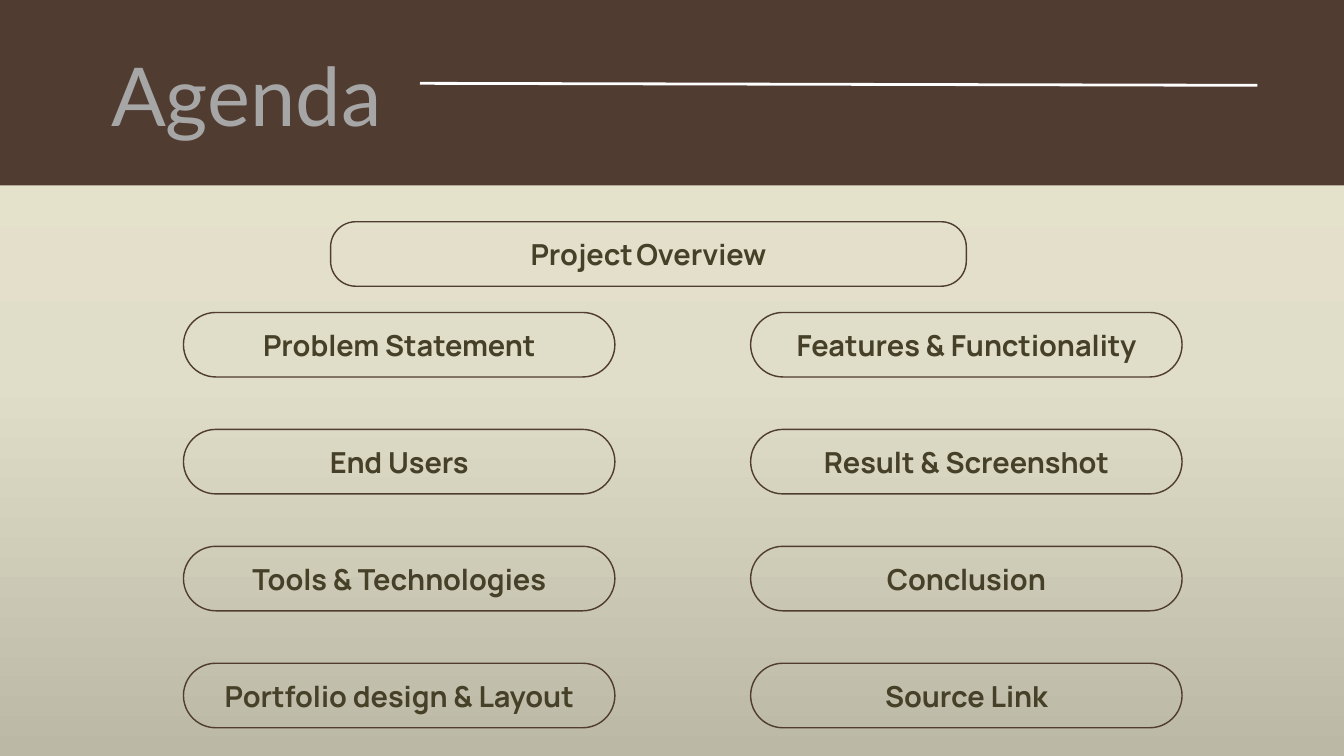
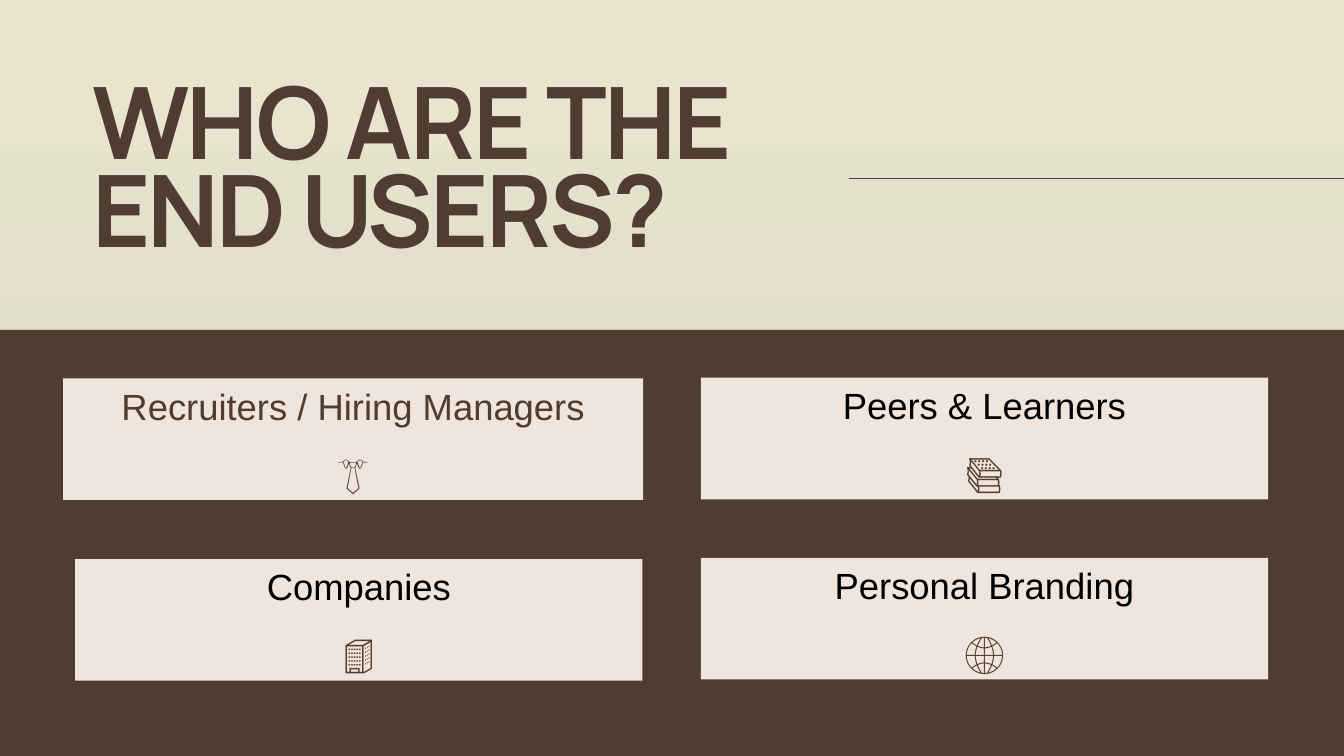
from copy import deepcopy
from dataclasses import dataclass

from lxml.etree import SubElement
from pptx import Presentation
from pptx.dml.color import RGBColor
from pptx.enum.shapes import MSO_CONNECTOR, MSO_SHAPE
from pptx.enum.text import MSO_ANCHOR, MSO_AUTO_SIZE, PP_ALIGN
from pptx.oxml.ns import qn
from pptx.util import Inches, Pt


@dataclass(frozen=True)
class Theme:
    """Colours, fonts and type sizes of the deck."""
    brown: str = "503C30"
    olive: str = "454027"
    cream: str = "EFE5DD"
    grey: str = "A6A6A6"
    white: str = "FFFFFF"
    black: str = "000000"
    fade: tuple = ("EAE6CF", "E0DDC9", "BBB8A5")
    head: str = "Manrope"
    light: str = "Lato"
    plain: str = "Arial"
    agenda: float = 87
    question: float = 107
    pill: float = 31
    space: float = 18
    card: float = 39
    icon: float = 40
    thin: float = 1.5
    thick: float = 3


THEME = Theme()
WIDTH, HEIGHT = 20, 11.25


def rgb(code):
    """Turn a hex code into a colour."""
    return RGBColor.from_string(code)


def backdrop(master):
    """Give the master the vertical three-colour fade."""
    fill = master.background.fill
    fill.gradient()
    fill.gradient_angle = 270
    stops = master.element.find(".//" + qn("a:gsLst"))
    stops.insert(1, deepcopy(stops[0]))
    for step, (stop, code) in enumerate(zip(fill.gradient_stops, THEME.fade)):
        stop.position = step / 2
        stop.color.rgb = rgb(code)


def write(para, text, size, font, color, bold=False):
    """Add one styled run to a paragraph."""
    run = para.add_run()
    run.text = text
    run.font.size = Pt(size)
    run.font.name = font
    run.font.bold = bold
    run.font.color.rgb = rgb(color)
    return run


def block(slide, box, kind=MSO_SHAPE.RECTANGLE, fill=None, line=None):
    """Draw a flat shape in the box, filled or outlined."""
    shape = slide.shapes.add_shape(kind, *map(Inches, box))
    shape.shadow.inherit = False
    if fill:
        shape.fill.solid()
        shape.fill.fore_color.rgb = rgb(fill)
    else:
        shape.fill.background()
    if line:
        shape.line.color.rgb = rgb(line)
        shape.line.width = Pt(THEME.thin)
    else:
        shape.line.fill.background()
    shape.text_frame.word_wrap = True
    shape.text_frame.vertical_anchor = MSO_ANCHOR.MIDDLE
    return shape


def rule(slide, start, end, color, width):
    """Draw a straight line between two points."""
    line = slide.shapes.add_connector(
        MSO_CONNECTOR.STRAIGHT, *map(Inches, start + end))
    line.line.color.rgb = rgb(color)
    line.line.width = Pt(width)
    SubElement(line.element.spPr, qn("a:effectLst"))


def heading(slide, box, text, size, font, color, pitch, align, bold=False):
    """Place the title in front, in the box, and return its run."""
    title = slide.shapes.title
    title.element.getparent().append(title.element)
    title.left, title.top, title.width, title.height = map(Inches, box)
    frame = title.text_frame
    frame.word_wrap = True
    frame.auto_size = MSO_AUTO_SIZE.NONE
    frame.vertical_anchor = MSO_ANCHOR.TOP
    frame.margin_left = frame.margin_right = 0
    frame.margin_top = frame.margin_bottom = 0
    para = frame.paragraphs[0]
    para.alignment = align
    para.line_spacing = Pt(pitch)
    return write(para, text, size, font, color, bold)


def pill(slide, box, words, bend=0.5):
    """Draw an outlined pill with its words, split by small spaces."""
    shape = block(slide, box, MSO_SHAPE.ROUNDED_RECTANGLE, line=THEME.brown)
    shape.adjustments[0] = bend
    para = shape.text_frame.paragraphs[0]
    para.alignment = PP_ALIGN.CENTER
    for spot, word in enumerate(words):
        if spot:
            write(para, " ", THEME.space, THEME.head, THEME.black)
        write(para, word, THEME.pill, THEME.head, THEME.olive, True)


def topics(slide, box, columns):
    """Lay the topic columns out as a grid of pills in the box."""
    left, top, width, height = box
    wide, high = 6.42, 0.96
    across = (width - wide) / (len(columns) - 1)
    for col, names in enumerate(columns):
        down = (height - high) / (len(names) - 1)
        for row, name in enumerate(names):
            spot = (left + col * across, top + row * down, wide, high)
            pill(slide, spot, [name])


def card(slide, box, label, icon, color):
    """Draw a cream card with a label above its icon."""
    frame = block(slide, box, fill=THEME.cream).text_frame
    first, second = frame.paragraphs[0], frame.add_paragraph()
    first.alignment = second.alignment = PP_ALIGN.CENTER
    second.line_spacing = 1.5
    write(first, label, THEME.card, THEME.plain, color)
    write(second, icon, THEME.icon, THEME.plain, THEME.brown)


def agenda(slide):
    """Build the agenda slide."""
    block(slide, (0, 0, WIDTH, 2.76), fill=THEME.brown)
    topics(slide, (2.73, 4.65, 14.86, 6.18), (
        ("Problem Statement", "End Users", "Tools & Technologies",
         "Portfolio design & Layout"),
        ("Features & Functionality", "Result & Screenshot", "Conclusion",
         "Source Link"),
    ))
    pill(slide, (4.92, 3.3, 9.46, 0.96), ("Project", "Overview"), 0.39)
    heading(slide, (1.5, 0.43, 4.33, 1.63), "Agenda", THEME.agenda,
            THEME.light, THEME.grey, 121.8, PP_ALIGN.CENTER)
    rule(slide, (6.25, 1.24), (18.71, 1.27), THEME.white, THEME.thick)


def users(slide):
    """Build the slide on the end users."""
    top = 4.91
    block(slide, (0, top, WIDTH, HEIGHT - top), fill=THEME.brown)
    run = heading(slide, (1.37, 1.36, 11.26, 2.84), "WHO ARE THE END USERS?",
                  THEME.question, THEME.head, THEME.brown, 94.2,
                  PP_ALIGN.LEFT, True)
    run.font.element.set("spc", "-290") if hasattr(run.font, "element") \
        else run._r.get_or_add_rPr().set("spc", "-290")
    rule(slide, (12.63, 2.66), (WIDTH, 2.66), THEME.brown, THEME.thin)
    high = 1.81
    for left, down, wide, label, icon, color in (
        (0.94, 0.72, 8.63, "Recruiters / Hiring Managers", "👔", THEME.brown),
        (10.43, 0.71, 8.44, "Peers & Learners", "📚", THEME.black),
        (1.12, 3.41, 8.44, "Companies", "🏢", THEME.black),
        (10.43, 3.39, 8.44, "Personal Branding", "🌐", THEME.black),
    ):
        card(slide, (left, top + down, wide, high), label, icon, color)


def main():
    """Build and save the deck."""
    deck = Presentation()
    deck.slide_width, deck.slide_height = Inches(WIDTH), Inches(HEIGHT)
    backdrop(deck.slide_master)
    for build in (agenda, users):
        build(deck.slides.add_slide(deck.slide_layouts[5]))
    deck.save("out.pptx")


if __name__ == "__main__":
    main()
